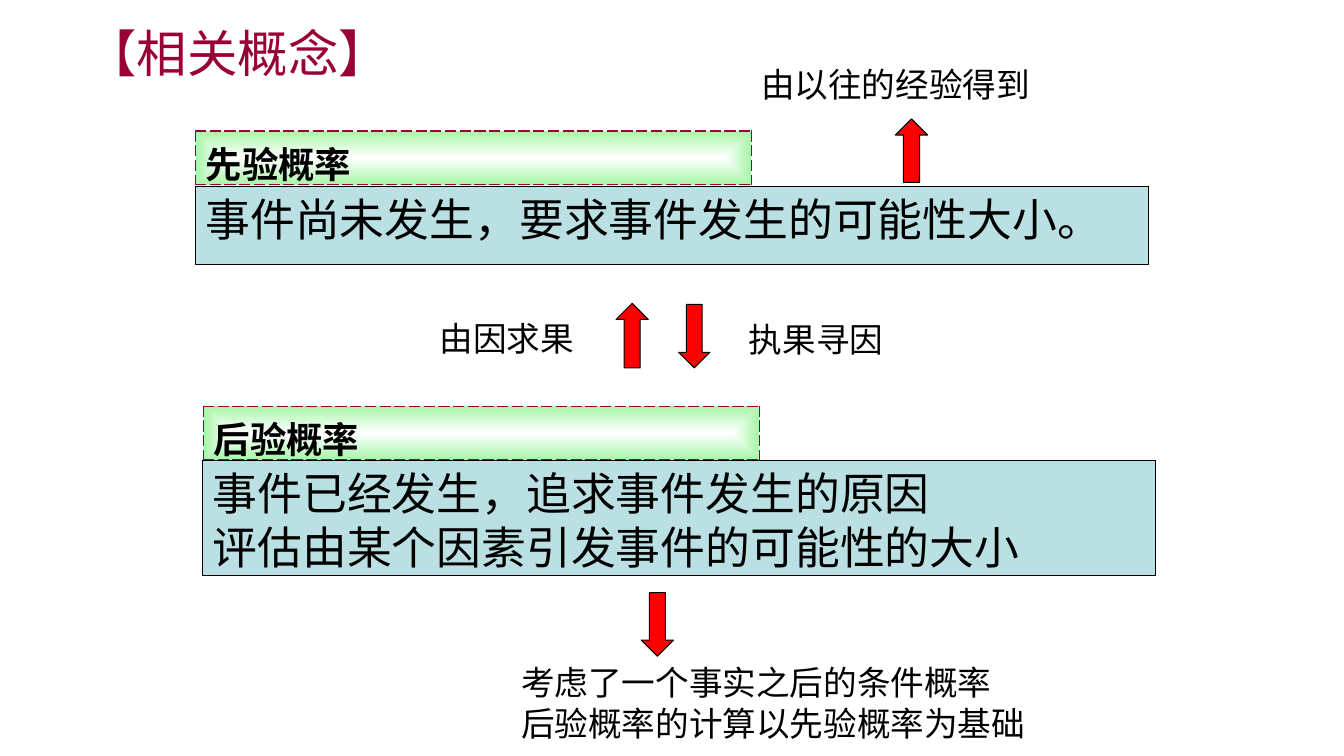
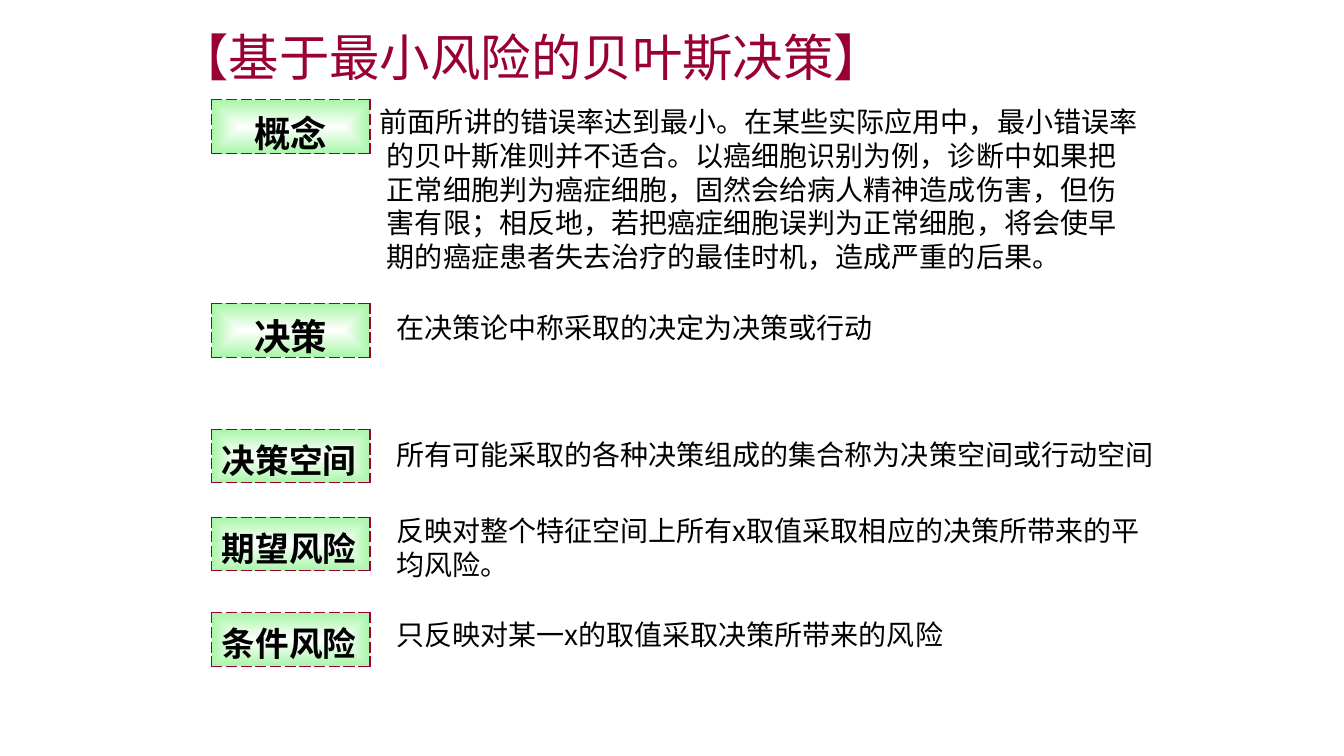
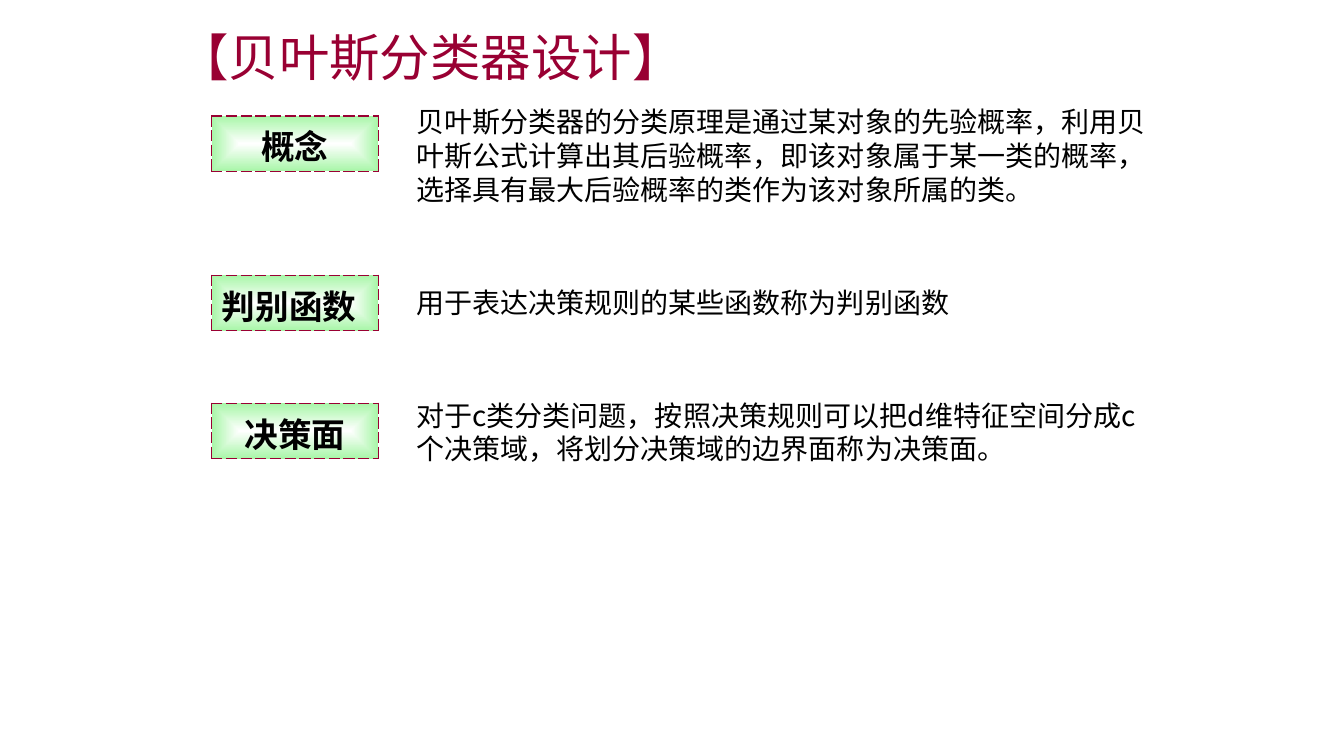
"""Build three slides on Bayesian decision concepts."""
from dataclasses import dataclass

from pptx import Presentation
from pptx.dml.color import RGBColor
from pptx.enum.shapes import MSO_SHAPE as Shape
from pptx.enum.text import MSO_ANCHOR as Anchor
from pptx.enum.text import MSO_AUTO_SIZE as AutoSize
from pptx.enum.text import PP_ALIGN as Align
from pptx.oxml import parse_xml
from pptx.oxml.ns import nsdecls
from pptx.slide import Slide
from pptx.text.text import TextFrame
from pptx.util import Inches, Pt

FONT = "Noto Sans CJK SC"
BLACK, CRIMSON, RED = "000000", "990033", "FF0000"
PALE_BLUE, WHITE, GREEN = "BBE0E3", "FFFFFF", "A8F6A8"
LABEL_LEFT = 2.1


@dataclass(frozen=True)
class Box:
    left: float
    top: float
    width: float
    height: float

    def emu(self) -> tuple:
        return tuple(map(Inches, (self.left, self.top, self.width, self.height)))


@dataclass(frozen=True)
class Term:
    name: str
    label_top: float
    meaning: str
    meaning_box: Box
    size: int = 24
    centred: bool = False
    margin: float = 0
    indent: float = 0


@dataclass(frozen=True)
class Probability:
    name: str
    label_box: Box
    meaning: str
    meaning_box: Box


@dataclass(frozen=True)
class Arrow:
    box: Box
    rotation: int = 0


@dataclass(frozen=True)
class Remark:
    text: str
    box: Box


def rgb(colour: str) -> RGBColor:
    return RGBColor.from_string(colour)


def write(frame: TextFrame, text: str, *, size: int, colour: str = BLACK,
          bold: bool = False, align: Align = Align.LEFT,
          margin: float = 0, indent: float = 0) -> None:
    for number, line in enumerate(text.split("\n")):
        paragraph = frame.paragraphs[0] if number == 0 else frame.add_paragraph()
        paragraph.alignment = align
        if margin:
            properties = paragraph._p.get_or_add_pPr()
            properties.set("marL", str(Inches(margin)))
            properties.set("indent", str(Inches(indent)))
        run = paragraph.add_run()
        run.text = line
        run.font.size = Pt(size)
        run.font.bold = bold
        run.font.color.rgb = rgb(colour)
        run.font.name = FONT
        run._r.get_or_add_rPr().append(
            parse_xml(f'<a:ea {nsdecls("a")} typeface="{FONT}"/>'))


def add_text(slide: Slide, box: Box, text: str, *, wrap: bool = True, **style) -> None:
    frame = slide.shapes.add_textbox(*box.emu()).text_frame
    frame.word_wrap = wrap
    frame.auto_size = AutoSize.SHAPE_TO_FIT_TEXT
    write(frame, text, **style)


def add_title(slide: Slide, text: str, box: Box = Box(1.67, 0.21, 7.91, 0.7)) -> None:
    add_text(slide, box, text, size=36, colour=CRIMSON)


def add_label(slide: Slide, box: Box, text: str, *, size: int = 26,
              align: Align = Align.LEFT) -> None:
    table = slide.shapes.add_table(1, 1, *box.emu()).table
    table.first_row = table.horz_banding = False
    cell = table.cell(0, 0)
    cell.vertical_anchor = Anchor.MIDDLE
    write(cell.text_frame, text, size=size, bold=True, align=align)
    properties = cell._tc.get_or_add_tcPr()
    for side in "LRTB":
        properties.append(parse_xml(
            f'<a:ln{side} {nsdecls("a")} w="{Pt(1)}"><a:solidFill>'
            f'<a:srgbClr val="{CRIMSON}"/></a:solidFill>'
            f'<a:prstDash val="sysDash"/></a:ln{side}>'))
    properties.append(parse_xml(
        f'<a:gradFill {nsdecls("a")} rotWithShape="1"><a:gsLst>'
        f'<a:gs pos="0"><a:srgbClr val="{WHITE}"/></a:gs>'
        f'<a:gs pos="100000"><a:srgbClr val="{GREEN}"/></a:gs></a:gsLst>'
        '<a:path path="shape"><a:fillToRect l="50000" t="50000" r="50000" b="50000"/>'
        '</a:path></a:gradFill>'))


def add_outlined(slide: Slide, kind: Shape, box: Box, colour: str):
    shape = slide.shapes.add_shape(kind, *box.emu())
    shape.shadow.inherit = False
    shape.fill.solid()
    shape.fill.fore_color.rgb = rgb(colour)
    shape.line.color.rgb = rgb(BLACK)
    shape.line.width = Pt(0.75)
    return shape


def add_probability(slide: Slide, probability: Probability) -> None:
    add_label(slide, probability.label_box, probability.name)
    panel = add_outlined(slide, Shape.RECTANGLE, probability.meaning_box, PALE_BLUE)
    panel.text_frame.vertical_anchor = Anchor.TOP
    panel.text_frame.word_wrap = True
    write(panel.text_frame, probability.meaning, size=32)


def add_terms(slide: Slide, terms: list[Term], width: float, height: float) -> None:
    for term in terms:
        add_label(slide, Box(LABEL_LEFT, term.label_top, width, height), term.name,
                  size=term.size, align=Align.CENTER if term.centred else Align.LEFT)
        add_text(slide, term.meaning_box, term.meaning, size=20,
                 margin=term.margin, indent=term.indent)


PROBABILITIES = [
    Probability("先验概率", Box(1.94, 1.3, 5.51, 0.53),
                "事件尚未发生，要求事件发生的可能性大小。", Box(1.94, 1.85, 9.45, 0.77)),
    Probability("后验概率", Box(2.02, 4.03, 5.51, 0.53),
                "事件已经发生，追求事件发生的原因\n评估由某个因素引发事件的可能性的大小",
                Box(2.01, 4.57, 9.45, 1.14)),
]
ARROWS = [
    Arrow(Box(8.88, 1.18, 0.32, 0.63)),
    Arrow(Box(6.36, 5.88, 0.32, 0.63), 180),
    Arrow(Box(6.11, 3.01, 0.32, 0.64)),
    Arrow(Box(6.73, 3.02, 0.31, 0.63), 180),
]
REMARKS = [
    Remark("考虑了一个事实之后的条件概率\n后验概率的计算以先验概率为基础",
           Box(5.07, 6.52, 5.43, 0.91)),
    Remark("由以往的经验得到", Box(7.45, 0.58, 2.89, 0.51)),
    Remark("由因求果", Box(4.26, 3.1, 1.55, 0.5)),
    Remark("执果寻因", Box(7.33, 3.11, 1.55, 0.51)),
]
RISK_TERMS = [
    Term("概念", 0.99,
         "前面所讲的错误率达到最小。在某些实际应用中，最小错误率的贝叶斯准则并不适合。"
         "以癌细胞识别为例，诊断中如果把正常细胞判为癌症细胞，固然会给病人精神造成伤害，"
         "但伤害有限；相反地，若把癌症细胞误判为正常细胞，将会使早期的癌症患者失去治疗的"
         "最佳时机，造成严重的后果。",
         Box(3.36, 0.99, 8.03, 1.78), 26, True, 0.38, -0.07),
    Term("决策", 3.01, "在决策论中称采取的决定为决策或行动",
         Box(3.83, 3.03, 5.41, 0.44), 26, True),
    Term("决策空间", 4.26, "所有可能采取的各种决策组成的集合称为决策空间或行动空间",
         Box(3.83, 4.29, 7.84, 0.44)),
    Term("期望风险", 5.13, "反映对整个特征空间上所有x取值采取相应的决策所带来的平均风险。",
         Box(3.83, 5.05, 7.84, 0.77)),
    Term("条件风险", 6.08, "只反映对某一x的取值采取决策所带来的风险",
         Box(3.83, 6.08, 7.84, 0.44)),
]
CLASSIFIER_TERMS = [
    Term("概念", 1.15,
         "贝叶斯分类器的分类原理是通过某对象的先验概率，利用贝叶斯公式计算出其后验概率，"
         "即该对象属于某一类的概率，选择具有最大后验概率的类作为该对象所属的类。",
         Box(4.03, 0.99, 7.64, 1.11), centred=True),
    Term("判别函数", 2.73, "用于表达决策规则的某些函数称为判别函数",
         Box(4.03, 2.78, 7.64, 0.44)),
    Term("决策面", 4,
         "对于c类分类问题，按照决策规则可以把d维特征空间分成c个决策域，"
         "将划分决策域的边界面称为决策面。",
         Box(4.03, 3.9, 7.44, 0.77), centred=True),
]


def build_concepts(slide: Slide) -> None:
    add_title(slide, "【相关概念】", Box(0.76, 0.17, 5.94, 0.7))
    for probability in PROBABILITIES:
        add_probability(slide, probability)
    for arrow in ARROWS:
        add_outlined(slide, Shape.UP_ARROW, arrow.box, RED).rotation = arrow.rotation
    for remark in REMARKS:
        add_text(slide, remark.box, remark.text, wrap=False, size=24)


def build_risk(slide: Slide) -> None:
    add_title(slide, "【基于最小风险的贝叶斯决策】")
    add_terms(slide, RISK_TERMS, 1.57, 0.53)


def build_classifier(slide: Slide) -> None:
    add_title(slide, "【贝叶斯分类器设计】")
    add_terms(slide, CLASSIFIER_TERMS, 1.65, 0.55)


def main() -> None:
    deck = Presentation()
    deck.slide_width, deck.slide_height = Inches(13.33), Inches(7.5)
    for build in (build_concepts, build_risk, build_classifier):
        build(deck.slides.add_slide(deck.slide_layouts[6]))
    deck.save("out.pptx")


if __name__ == "__main__":
    main()
